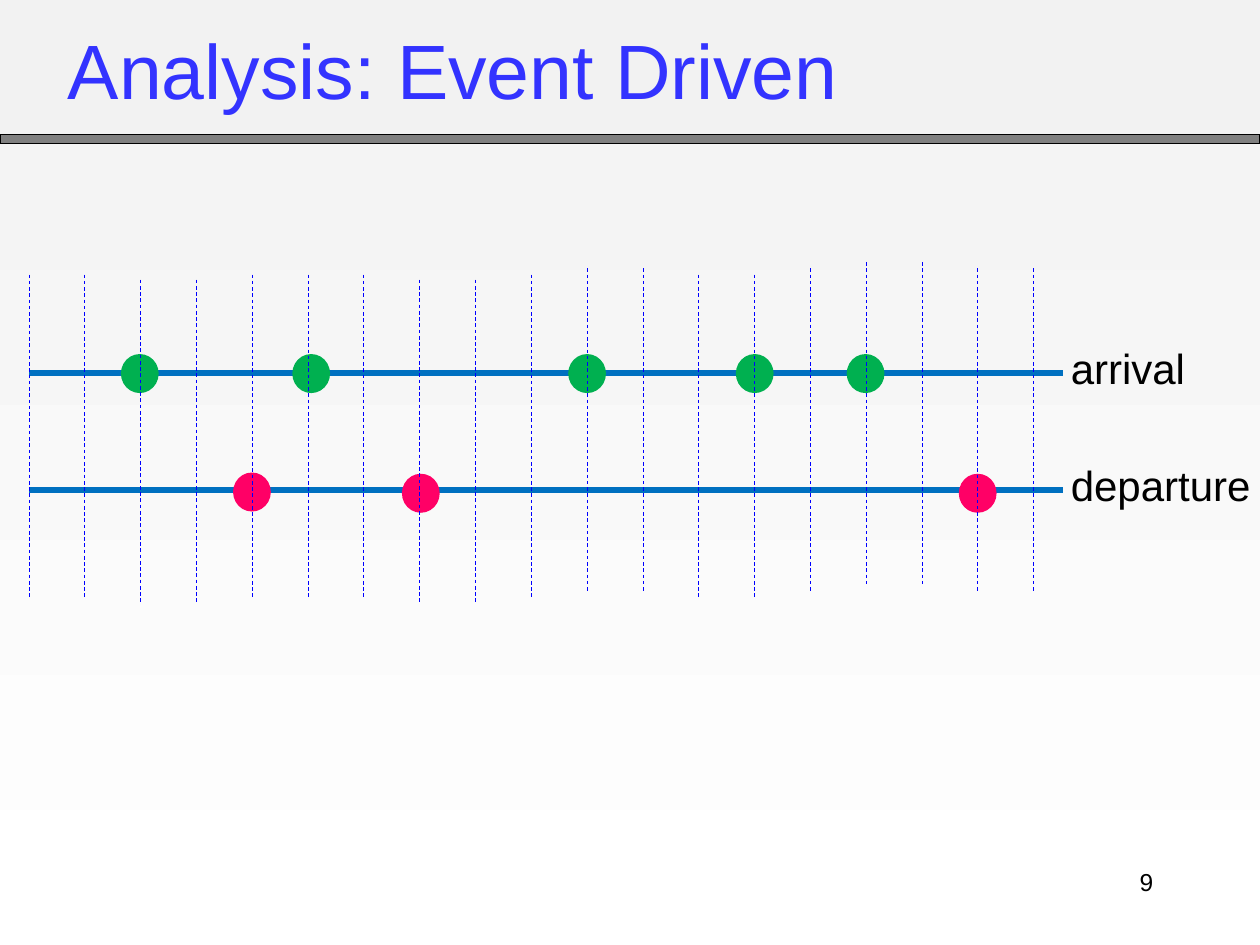
from pptx import Presentation
from pptx.dml.color import RGBColor
from pptx.enum.dml import MSO_LINE_DASH_STYLE as Dash
from pptx.enum.shapes import MSO_CONNECTOR as Connector, MSO_SHAPE as Shape
from pptx.enum.text import MSO_ANCHOR as Anchor, PP_ALIGN as Align
from pptx.oxml.ns import qn
from pptx.util import Inches, Pt
from lxml.etree import SubElement

COLORS = {
    "page_top": "F2F2F2",
    "page_bottom": "FFFFFF",
    "bar": "808080",
    "title": "3333FF",
    "text": "000000",
    "axis": "0070C0",
    "tick": "0000FF",
    "arrival": "00B050",
    "departure": "FF0066",
}
AXIS_LEFT, AXIS_RIGHT = 0.23, 8.44
TICK_GAP = 0.443
TICK_HEIGHT = 2.56
TICK_TOPS = [2.18, 2.18, 2.22, 2.22, 2.18, 2.18, 2.18, 2.22, 2.22, 2.18,
             2.13, 2.13, 2.18, 2.18, 2.13, 2.08, 2.08, 2.13, 2.13]
DOT_WIDTH, DOT_HEIGHT = 0.3, 0.31
# name: (axis height, label top, dots as (left, top))
TIMELINES = {
    "arrival": (2.96, 2.67, [(0.96, 2.81), (2.32, 2.81), (4.51, 2.81),
                             (5.84, 2.81), (6.72, 2.81)]),
    "departure": (3.89, 3.6, [(1.85, 3.75), (3.19, 3.76), (7.61, 3.76)]),
}


def color(name):
    return RGBColor.from_string(COLORS[name])


def paint_background(page):
    fill = page.background.fill
    fill.gradient()
    fill.gradient_angle = 270
    for stop, name, position in zip(fill.gradient_stops,
                                    ("page_top", "page_bottom"), (0, 1)):
        stop.color.rgb = color(name)
        stop.position = position


def add_solid(page, kind, left, top, width, height, fill):
    """Add a flat shape without outline."""
    shape = page.shapes.add_shape(kind, Inches(left), Inches(top),
                                  Inches(width), Inches(height))
    shape.shadow.inherit = False
    shape.fill.solid()
    shape.fill.fore_color.rgb = color(fill)
    shape.line.fill.background()
    return shape


def add_line(page, start, end, name, weight):
    line = page.shapes.add_connector(Connector.STRAIGHT,
                                     *map(Inches, start + end))
    line.line.color.rgb = color(name)
    line.line.width = Pt(weight)
    SubElement(line._element.spPr, qn("a:effectLst"))
    return line


def add_text(page, text, left, top, width, height, size, name="text",
             align=Align.LEFT, anchor=Anchor.TOP):
    box = page.shapes.add_textbox(Inches(left), Inches(top),
                                  Inches(width), Inches(height))
    frame = box.text_frame
    frame.word_wrap = True
    frame.vertical_anchor = anchor
    frame.text = text
    para = frame.paragraphs[0]
    para.alignment = align
    font = para.runs[0].font
    font.name = "Arial"
    font.size = Pt(size)
    font.color.rgb = color(name)


def add_header(page):
    bar = add_solid(page, Shape.RECTANGLE, 0, 1.07, 10, 0.07, "bar")
    bar.line.color.rgb = color("text")
    bar.line.width = Pt(0.75)
    add_text(page, "Analysis: Event Driven", 0.44, 0.1, 8.5, 0.89, 44,
             "title", anchor=Anchor.MIDDLE)


def add_ticks(page):
    for index, top in enumerate(TICK_TOPS):
        x = AXIS_LEFT + index * TICK_GAP
        tick = add_line(page, (x, top), (x, top + TICK_HEIGHT), "tick", 0.5)
        tick.line.dash_style = Dash.DASH


def main():
    deck = Presentation()
    deck.slide_width, deck.slide_height = Inches(10), Inches(7.5)
    page = deck.slides.add_slide(deck.slide_layouts[6])
    paint_background(page)
    add_header(page)
    add_text(page, "9", 7.17, 6.83, 2.08, 0.5, 14, align=Align.RIGHT)
    for name, (y, label_top, dots) in TIMELINES.items():
        add_line(page, (AXIS_LEFT, y), (AXIS_RIGHT, y), "axis", 3)
        for left, top in dots:
            add_solid(page, Shape.OVAL, left, top, DOT_WIDTH, DOT_HEIGHT, name)
    add_ticks(page)
    for name, (y, label_top, dots) in TIMELINES.items():
        add_text(page, name, 8.4, label_top, 1.97, 0.5, 24)
    deck.save("out.pptx")


if __name__ == "__main__":
    main()
